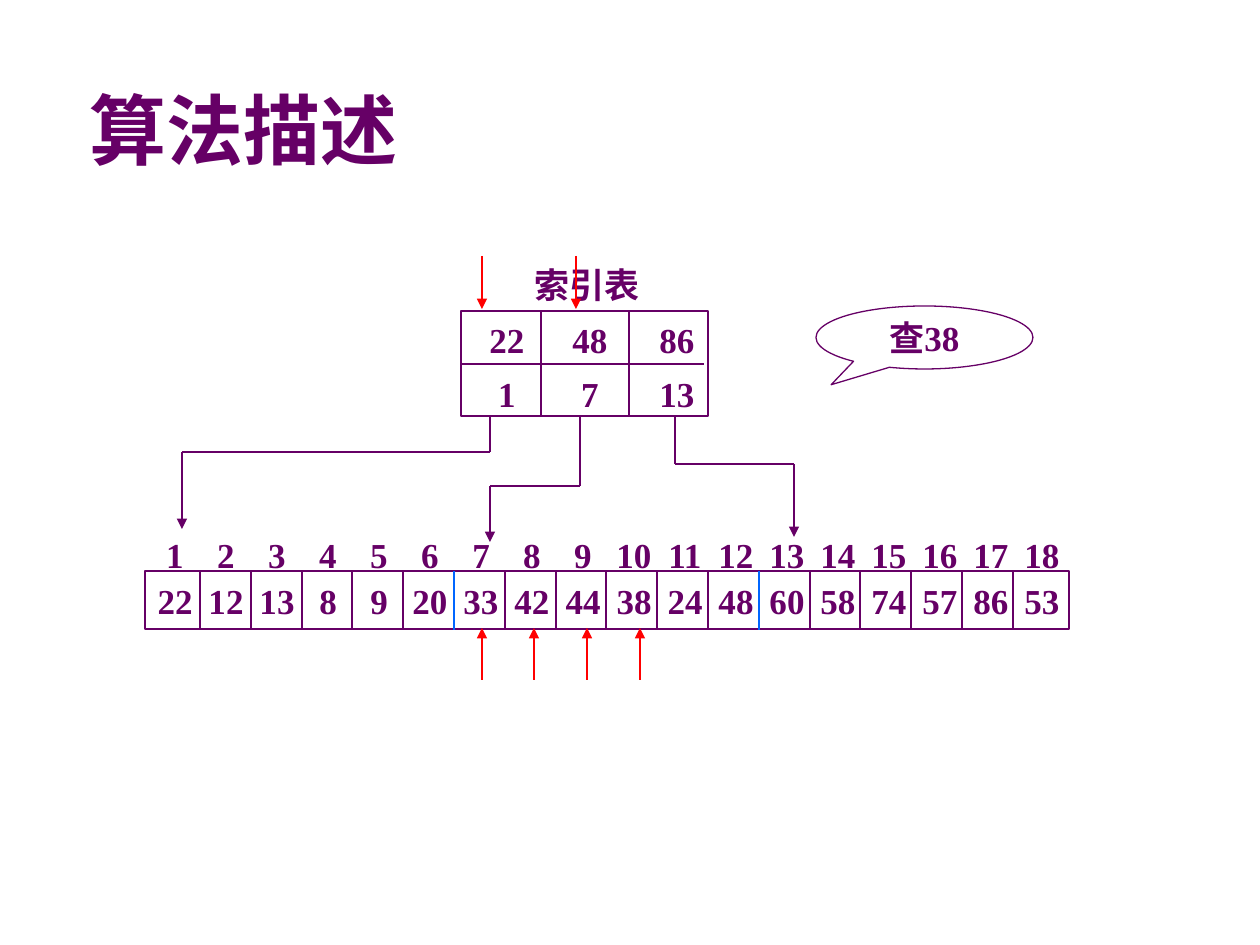
from lxml.etree import SubElement
from pptx import Presentation
from pptx.dml.color import RGBColor
from pptx.enum.shapes import MSO_CONNECTOR, MSO_SHAPE
from pptx.enum.text import MSO_ANCHOR, PP_ALIGN
from pptx.oxml.ns import qn
from pptx.util import Pt

PX = 914400 / 126
PURPLE = RGBColor(0x66, 0x00, 0x66)
BLUE = RGBColor(0x00, 0x66, 0xFF)
RED = RGBColor(0xFF, 0x00, 0x00)


def add_line(x1, y1, x2, y2, color=PURPLE, arrow=False):
    ends = [round(value * PX) for value in (x1, y1, x2, y2)]
    connector = slide.shapes.add_connector(MSO_CONNECTOR.STRAIGHT, *ends)
    connector.line.color.rgb = color
    connector.line.width = Pt(0.75)
    if arrow:
        SubElement(connector.line._get_or_add_ln(), qn("a:tailEnd"), type="triangle")
    SubElement(connector._element.spPr, qn("a:effectLst"))


def write_text(shape, text, size=20, font="Times New Roman", align=PP_ALIGN.LEFT,
               anchor=MSO_ANCHOR.TOP, side_margin=13, tab_centers=()):
    """Fill a shape with one paragraph; tab_centers are px from the text's left edge."""
    frame = shape.text_frame
    frame_format = {
        "word_wrap": True, "vertical_anchor": anchor,
        "margin_left": round(side_margin * PX), "margin_right": round(side_margin * PX),
        "margin_top": round(6 * PX), "margin_bottom": round(6 * PX),
    }
    for name, value in frame_format.items():
        setattr(frame, name, value)
    paragraph = frame.paragraphs[0]
    paragraph.text = text
    paragraph.alignment = align
    if tab_centers:
        tabs = SubElement(paragraph._p.get_or_add_pPr(), qn("a:tabLst"))
        for center in tab_centers:
            SubElement(tabs, qn("a:tab"), pos=str(round(center * PX)), algn="ctr")
    font_format = {"name": font, "size": Pt(size), "bold": True}
    for run in paragraph.runs:
        for name, value in font_format.items():
            setattr(run.font, name, value)
        run.font.color.rgb = PURPLE


presentation = Presentation()
presentation.slide_width = round(1260 * PX)
presentation.slide_height = round(945 * PX)
slide = presentation.slides.add_slide(presentation.slide_layouts[5])

# Title
title = slide.shapes.title
title_box = {"left": 77, "top": 72, "width": 1071, "height": 113}
for name, value in title_box.items():
    setattr(title, name, round(value * PX))
write_text(title, "算法描述", size=44, font="Roboto Condensed", anchor=MSO_ANCHOR.MIDDLE)

# Outlined shapes: main table, index table, speech bubble
outlines = []
for kind, *box in (
    (MSO_SHAPE.RECTANGLE, 145, 571, 924, 58),
    (MSO_SHAPE.RECTANGLE, 461, 311, 247, 105),
    (MSO_SHAPE.OVAL_CALLOUT, 816, 306, 217, 63),
):
    shape = slide.shapes.add_shape(kind, *[round(value * PX) for value in box])
    shape.shadow.inherit = False
    shape.fill.background()
    shape.line.color.rgb = PURPLE
    shape.line.width = Pt(0.75)
    outlines.append(shape)
main_table, index_table, bubble = outlines

bubble.adjustments[0] = -0.43
bubble.adjustments[1] = 0.75
write_text(bubble, "查38", align=PP_ALIGN.CENTER, anchor=MSO_ANCHOR.MIDDLE)

# Main table: values in the outline, positions above it
values = [22, 12, 13, 8, 9, 20, 33, 42, 44, 38, 24, 48, 60, 58, 74, 57, 86, 53]
positions = range(1, len(values) + 1)
column_centers = [175 + 51 * column for column in range(len(values))]
write_text(main_table, "".join(f"\t{value}" for value in values),
           anchor=MSO_ANCHOR.MIDDLE, side_margin=0,
           tab_centers=[center - 145 for center in column_centers])
block_starts = (7, 13)
for position in positions[1:]:
    x = round(200 + 50.8 * (position - 2))
    add_line(x, 571, x, 630, BLUE if position in block_starts else PURPLE)

# Text rows without an outline
index_centers = (507, 590, 677)
for left, top, width, entries, centers in (
    (156, 527, 920, positions, column_centers),
    (480, 312, 227, (22, 48, 86), index_centers),
    (483, 366, 227, (1, 7, 13), index_centers),
):
    box = [round(value * PX) for value in (left, top, width, 55)]
    write_text(slide.shapes.add_textbox(*box), "".join(f"\t{entry}" for entry in entries),
               side_margin=0, tab_centers=[center - left for center in centers])
caption_box = [round(value * PX) for value in (522, 257, 130, 55)]
write_text(slide.shapes.add_textbox(*caption_box), "索引表",
           align=PP_ALIGN.CENTER, side_margin=0)

# Index table grid
add_line(461, 364, 704, 364)
for x in (541, 629):
    add_line(x, 311, x, 416)

# Bent pointers from the index table to the start of each block
for start_x, bend_y, end_x, end_y in (
    (490, 452, 182, 529), (580, 486, 490, 542), (675, 464, 794, 537),
):
    add_line(start_x, 416, start_x, bend_y)
    add_line(start_x, bend_y, end_x, bend_y)
    add_line(end_x, bend_y, end_x, end_y, arrow=True)

# Red search steps
for x in (482, 576):
    add_line(x, 256, x, 309, RED, arrow=True)
for step in range(4):
    x = round(482 + 52.5 * step)
    add_line(x, 680, x, 628, RED, arrow=True)

presentation.save("out.pptx")
